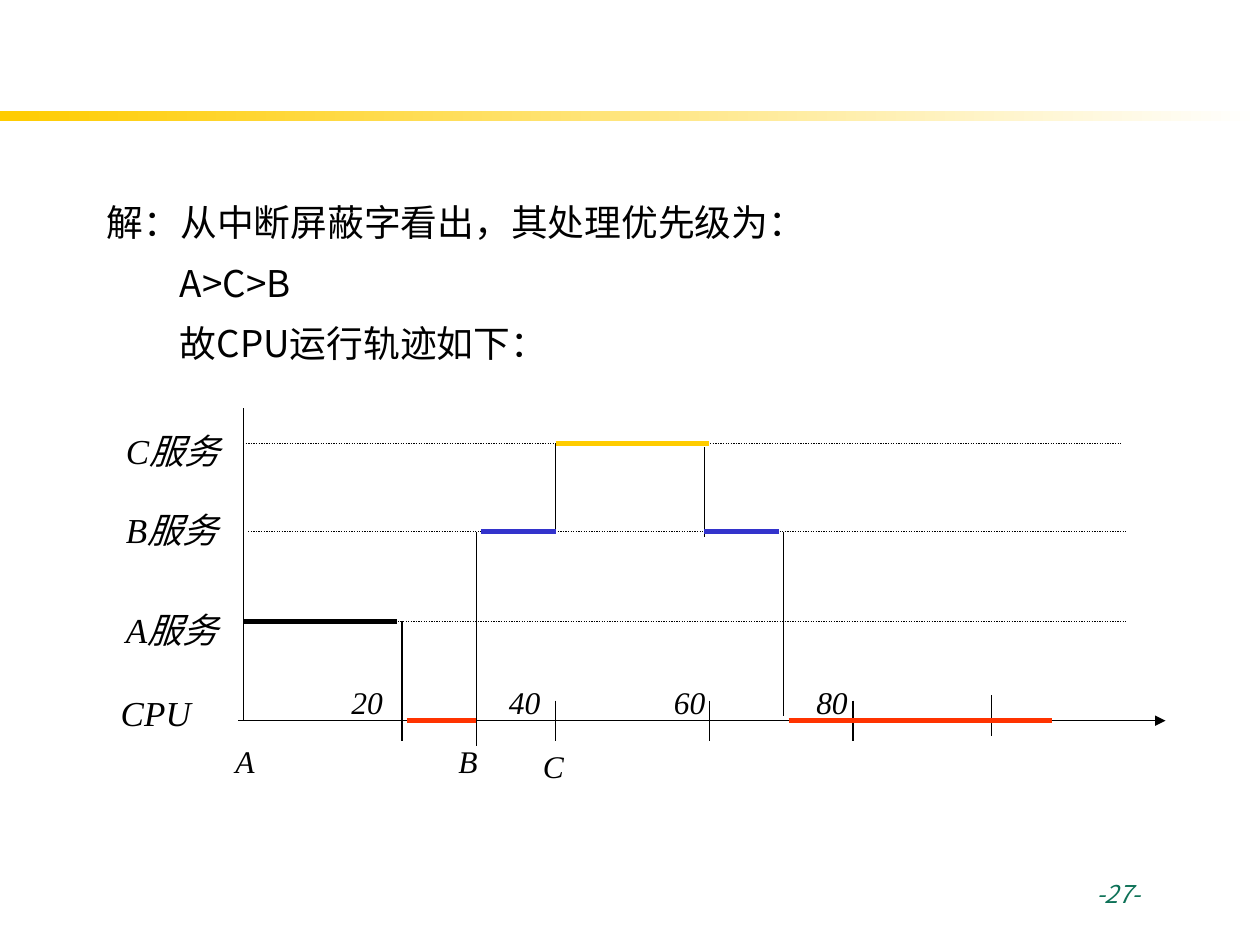
from dataclasses import dataclass
from pptx import Presentation
from pptx.dml.color import RGBColor
from pptx.enum.dml import MSO_LINE
from pptx.enum.shapes import MSO_CONNECTOR, MSO_SHAPE
from pptx.oxml.ns import qn
from pptx.util import Inches, Pt
from lxml.etree import SubElement


@dataclass(frozen=True)
class Theme:
    ink: str = "000000"
    gold: str = "FFCC00"
    white: str = "FFFFFF"
    blue: str = "3333CC"
    red: str = "FF3300"
    green: str = "0D7157"
    sans: str = "Noto Sans CJK SC"
    serif: str = "Times New Roman"
    body: int = 21
    label: int = 20
    mark: int = 18
    foot: int = 14
    thin: float = 0.75
    thick: float = 3


def put(item, values):
    for name, value in values.items():
        setattr(item, name, value)


class Board:
    cols, rows = 100, 75

    def __init__(self, deck, theme):
        self.theme = theme
        self.unit_x = deck.slide_width / self.cols
        self.unit_y = deck.slide_height / self.rows
        self.shapes = deck.slides.add_slide(deck.slide_layouts[6]).shapes

    def place(self, x, y):
        return round(x * self.unit_x), round(y * self.unit_y)

    def band(self, x, y, w, h):
        bar = self.shapes.add_shape(MSO_SHAPE.RECTANGLE, *self.place(x, y), *self.place(w, h))
        bar.shadow.inherit = False
        bar.line.fill.background()
        bar.fill.gradient()
        bar.fill.gradient_angle = 0
        ends = zip(bar.fill.gradient_stops, (self.theme.gold, self.theme.white), (0, 1))
        for stop, color, spot in ends:
            stop.color.rgb = RGBColor.from_string(color)
            stop.position = spot

    def line(self, x1, y1, x2, y2, color=None, width=None, dash=None, arrow=False):
        link = self.shapes.add_connector(
            MSO_CONNECTOR.STRAIGHT, *self.place(x1, y1), *self.place(x2, y2))
        link.line.color.rgb = RGBColor.from_string(color or self.theme.ink)
        put(link.line, {"width": Pt(width or self.theme.thin), "dash_style": dash})
        if arrow:
            SubElement(link.line._get_or_add_ln(), qn("a:tailEnd"), type="triangle")
        SubElement(link._element.spPr, qn("a:effectLst"))

    def text(self, x, y, w, h, lines, size, font=None, color=None, italic=True,
             indents=(0,), spacing=None, before=0):
        box = self.shapes.add_textbox(*self.place(x, y), *self.place(w, h))
        frame = box.text_frame
        frame.word_wrap = True
        for index, words in enumerate(lines):
            para = frame.paragraphs[0] if index == 0 else frame.add_paragraph()
            put(para, {"line_spacing": spacing, "space_before": Pt(before)})
            para._p.get_or_add_pPr().set("marL", str(Inches(indents[index])))
            run = para.add_run()
            run.text = words
            put(run.font, {"size": Pt(size), "name": font or self.theme.serif, "italic": italic})
            run.font.color.rgb = RGBColor.from_string(color or self.theme.ink)
            SubElement(run.font._element, qn("a:ea"), typeface=self.theme.sans)


def main():
    deck = Presentation()
    put(deck, {"slide_width": Inches(10), "slide_height": Inches(7.5)})
    theme = Theme()
    board = Board(deck, theme)

    board.band(0, 8.8, 100, 0.8)
    board.text(7.5, 14.7, 85, 16.1,
               ["解：从中断屏蔽字看出，其处理优先级为：", "A>C>B", "故CPU运行轨迹如下："],
               theme.body, theme.sans, italic=False,
               indents=(0, 0.58, 0.58), spacing=1.2, before=4.2)

    level = {"C": 35.2, "B": 42.2, "A": 49.3, "CPU": 57.2}
    start = 19.3
    board.line(18.9, level["CPU"], 92.5, level["CPU"], arrow=True)
    board.line(start, 32.4, start, level["CPU"])
    for name, left, top in (("C", 19.3, 33.6), ("B", 19.7, 39.9), ("A", 19.7, 47.8)):
        board.line(left, level[name], left + 69.7, level[name], dash=MSO_LINE.ROUND_DOT)
        board.text(9, top, 11.8, 4.3, [name + "服务"], theme.label)
    board.text(8.6, 54.4, 11.8, 4.3, ["CPU"], theme.label)

    ticks = ((31.9, 55.6), (37.8, 56), (44.1, 55.6), (56.3, 55.6), (67.7, 55.6), (78.7, 55.2))
    for x, top in ticks:
        board.line(x, top, x, top + 3.2)

    steps = ((31.9, level["A"], level["CPU"]), (37.8, level["B"], 56.8),
             (44.1, level["C"], level["B"]), (55.9, 35.5, 42.6),
             (62.2, level["B"], 56.8))
    for x, top, end in steps:
        board.line(x, top, x, end)

    runs = (("A", start, 31.5, theme.ink), ("CPU", 32.3, 37.8, theme.red),
            ("B", 38.2, 44.1, theme.blue), ("C", 44.1, 56.3, theme.gold),
            ("B", 55.9, 61.8, theme.blue), ("CPU", 62.6, 83.5, theme.red))
    for name, left, right, color in runs:
        board.line(left, level[name], right, level[name], color, theme.thick)

    marks = (("A", 17.7, 58.4), ("B", 35.4, 58.4), ("C", 42.1, 58.8),
             ("20", 26.9, 53.7), ("40", 39.4, 53.7), ("60", 52.5, 53.7), ("80", 63.8, 53.7))
    for words, x, y in marks:
        board.text(x, y, 5.1, 4, [words], theme.mark)

    board.text(86, 69.3, 10.5, 5.2, ["-27-"], theme.foot, theme.sans, theme.green)
    deck.save("out.pptx")


if __name__ == "__main__":
    main()
